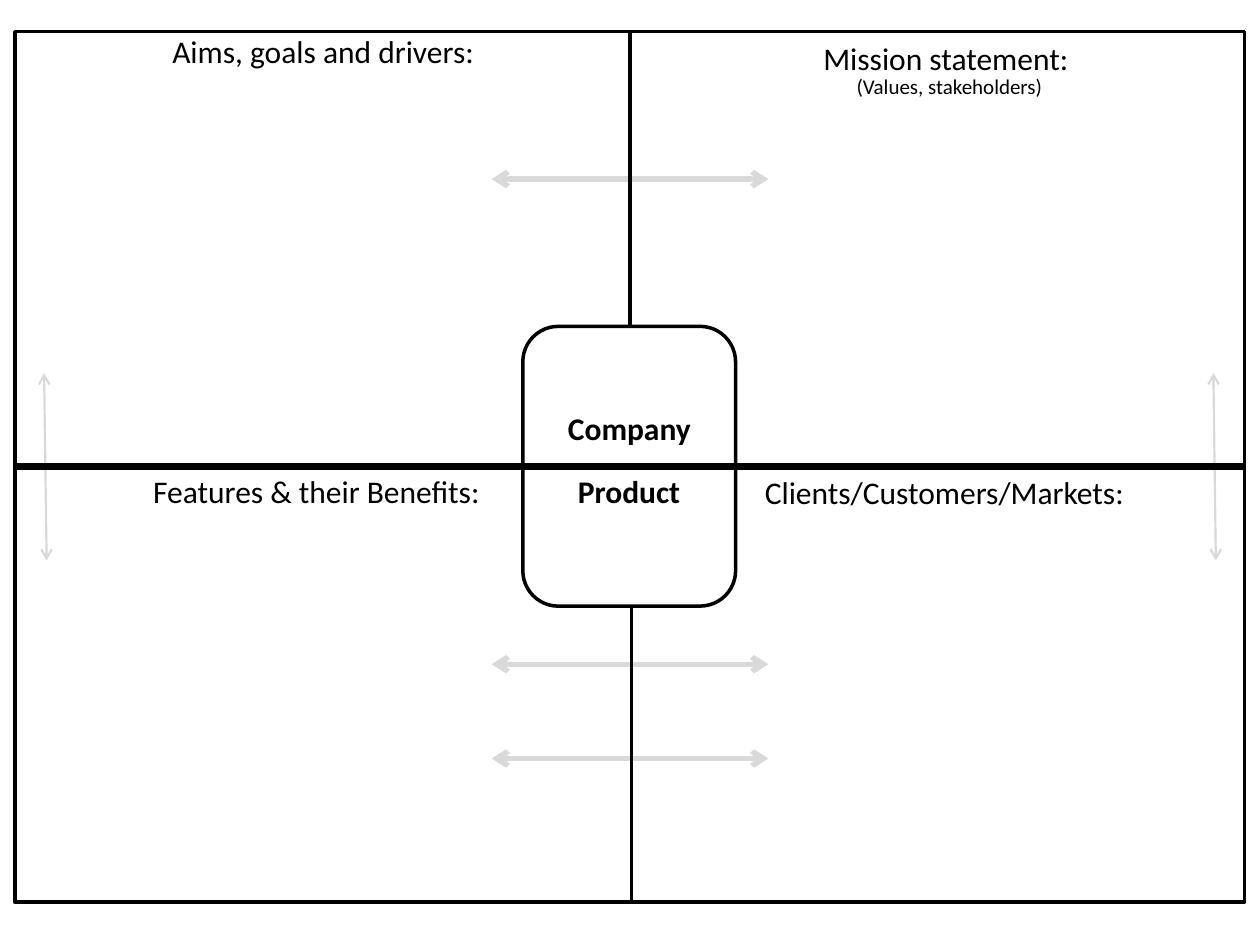
from lxml import etree
from pptx import Presentation
from pptx import util as u
from pptx.dml import color
from pptx.enum import shapes, text
from pptx.oxml import ns

COLORS = {"ink": "000000", "arrow": "D9D9D9"}
FONT = "Calibri"
LEFT, CENTER, RIGHT = text.PP_ALIGN.LEFT, text.PP_ALIGN.CENTER, text.PP_ALIGN.RIGHT


def style_line(line, name, width):
    """Set the colour and width of a line or outline."""
    line.color.rgb = color.RGBColor.from_string(COLORS[name])
    line.width = u.Pt(width)


def add_line(parent, start, end, name="ink", width=2, arrows=False):
    """Add a straight line, with open arrowheads at both ends if asked."""
    points = [u.Cm(value) for value in (*start, *end)]
    line = parent.add_connector(shapes.MSO_CONNECTOR.STRAIGHT, *points)
    style_line(line.line, name, width)
    if arrows:
        outline = line.line._get_or_add_ln()
        for end_tag in ("a:headEnd", "a:tailEnd"):
            etree.SubElement(outline, ns.qn(end_tag), type="arrow")
    etree.SubElement(line._element.spPr, ns.qn("a:effectLst"))


def add_outline(parent, kind, left, top, width, height):
    """Add an unfilled shape with a black outline."""
    box = [u.Cm(value) for value in (left, top, width, height)]
    outline = parent.add_shape(kind, *box)
    outline.shadow.inherit = False
    outline.fill.background()
    style_line(outline.line, "ink", 2)


def add_label(parent, words, left, top, width, align=LEFT, size=18, bold=None):
    """Add a one-line text label."""
    height = 1.02 if size == 18 else 0.76
    box = [u.Cm(value) for value in (left, top, width, height)]
    frame = parent.add_textbox(*box).text_frame
    frame.word_wrap = False
    frame.auto_size = text.MSO_AUTO_SIZE.SHAPE_TO_FIT_TEXT
    paragraph = frame.paragraphs[0]
    paragraph.text = words
    paragraph.alignment = align
    font = paragraph.font
    font.name, font.size, font.bold = FONT, u.Pt(size), bold
    font.color.rgb = color.RGBColor.from_string(COLORS["ink"])


def add_link_arrows(parent):
    """Add the grey arrows that link neighbouring quadrants."""
    for y in (3.61, 15.29, 13.39):
        add_line(parent, (9.91, y), (15.49, y), "arrow", 3, arrows=True)
    for x in (0.94, 24.51):
        add_line(parent, (x, 11.3), (x - 0.05, 7.52), "arrow", 1.25, arrows=True)


def add_centre(parent):
    """Add the grouped company and product box."""
    centre = parent.add_group_shape().shapes
    add_label(centre, "Company", 11.2, 8.13, 3, bold=True)
    add_label(centre, "Product", 11.4, 9.4, 2.59, bold=True)
    add_outline(centre, shapes.MSO_SHAPE.ROUNDED_RECTANGLE, 10.54, 6.58, 4.29, 5.64)


def add_grid(parent):
    """Add the outer frame and the lines between quadrants."""
    add_line(parent, (0.3, 9.4), (25.1, 9.4), width=4)
    add_outline(parent, shapes.MSO_SHAPE.RECTANGLE, 0.3, 0.64, 24.79, 17.55)
    add_line(parent, (12.7, 6.58), (12.7, 0.64))
    add_line(parent, (12.73, 18.19), (12.73, 12.24))


def main():
    """Build and save the slide."""
    deck = Presentation()
    deck.slide_width, deck.slide_height = u.Cm(25.4), u.Cm(19.05)
    canvas = deck.slides.add_slide(deck.slide_layouts[6]).shapes
    add_link_arrows(canvas)
    add_centre(canvas)
    add_grid(canvas)
    for heading in (
        ("Aims, goals and drivers:", 2.49, 0.53, 8.05, CENTER),
        ("Mission statement:", 16, 0.66, 5.79, RIGHT),
        ("Features & their Benefits:", 2.84, 9.4, 7.29, LEFT),
        ("Clients/Customers/Markets:", 14.91, 9.42, 8, RIGHT),
        ("(Values, stakeholders) ", 14.86, 1.35, 8.66, CENTER, 12),
    ):
        add_label(canvas, *heading)
    deck.save("out.pptx")


main()
